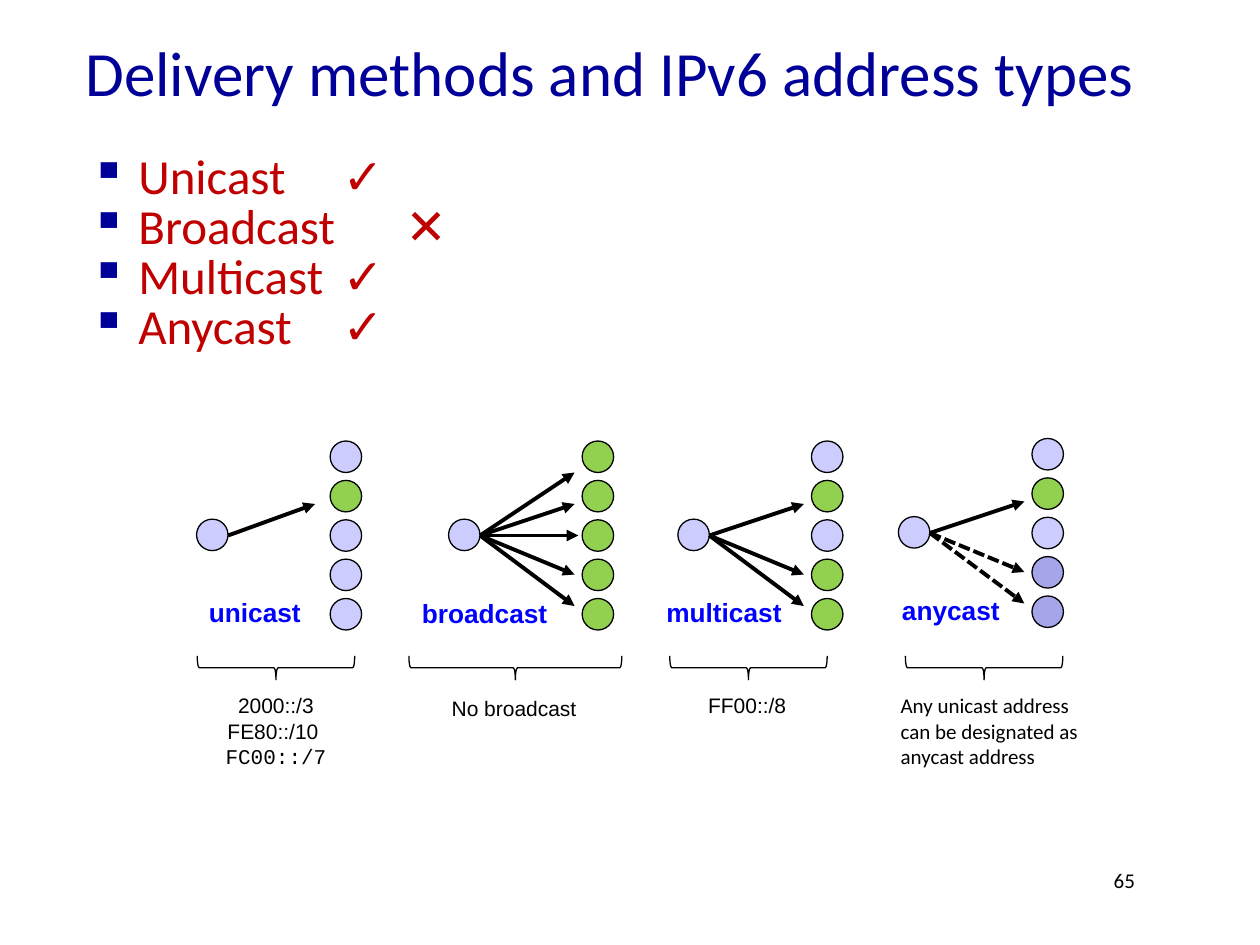
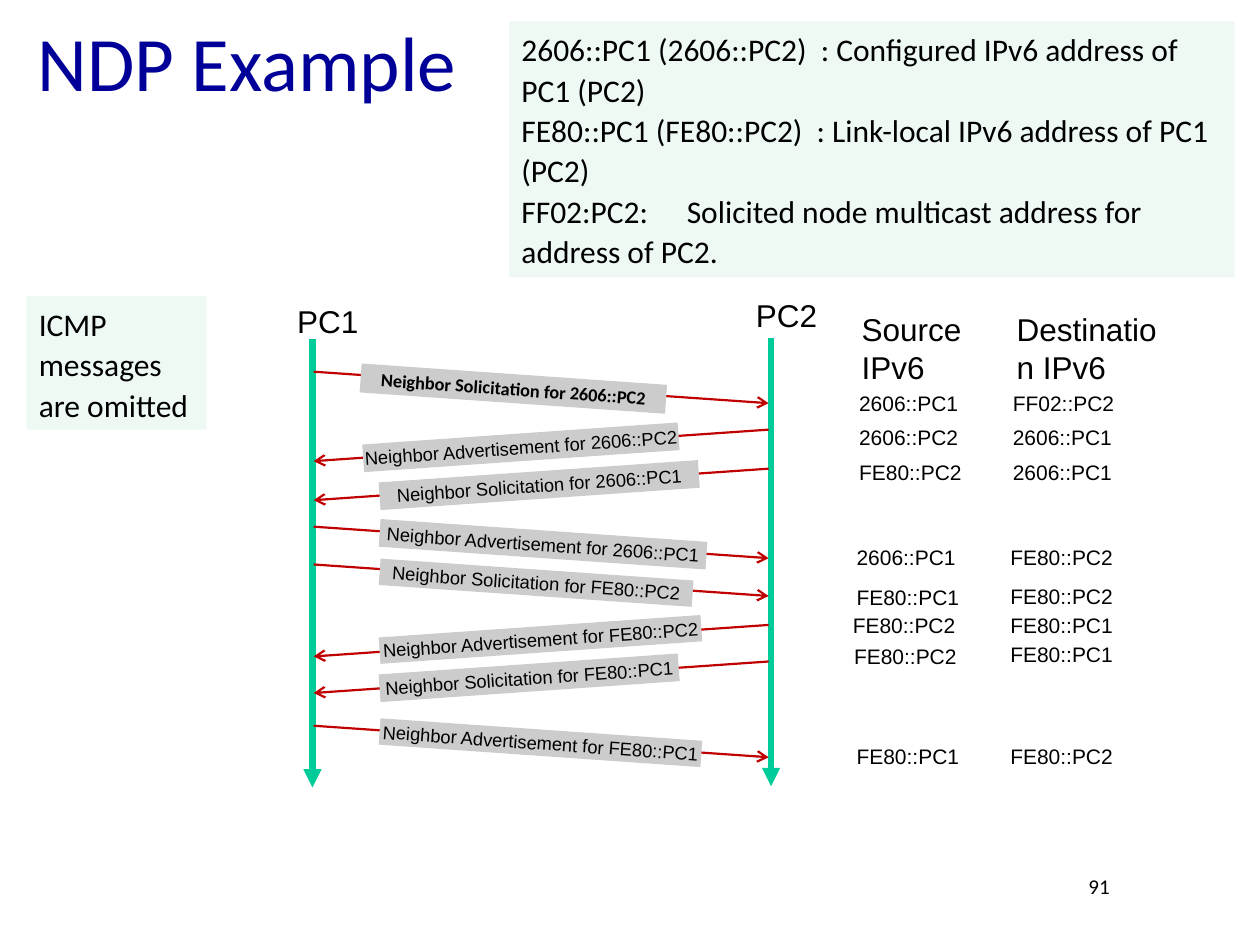
import pptx
import pptx.dml.color
import pptx.enum.dml
import pptx.enum.shapes
import pptx.enum.text
import pptx.oxml
import pptx.oxml.ns
import pptx.util

Inches = pptx.util.Inches
Pt = pptx.util.Pt
RGBColor = pptx.dml.color.RGBColor
SHAPE = pptx.enum.shapes.MSO_SHAPE
ANCHOR = pptx.enum.text.MSO_ANCHOR
ALIGN = pptx.enum.text.PP_ALIGN

# Colours
NAVY = RGBColor(0x00, 0x00, 0x99)
BLACK = RGBColor(0x00, 0x00, 0x00)
RED = RGBColor(0xC0, 0x00, 0x00)
BLUE = RGBColor(0x00, 0x00, 0xFF)
LAVENDER = RGBColor(0xCC, 0xCC, 0xFF)
VIOLET = RGBColor(0xA5, 0xA5, 0xE9)
GREEN = RGBColor(0x92, 0xD0, 0x50)
TEAL = RGBColor(0x00, 0xCC, 0x99)
MINT = RGBColor(0xEE, 0xF9, 0xF4)
GREY = RGBColor(0xCC, 0xCC, 0xCC)

# Text formats
BODY = {"name": "Calibri", "size": Pt(28), "color": RED}
NOTE = {"name": "Calibri", "size": Pt(18), "color": BLACK}
SMALL = {"name": "Calibri", "size": Pt(12), "color": BLACK}
HEADING = {"name": "Arial", "size": Pt(18), "color": BLACK}
ADDRESS = {"name": "Arial", "size": Pt(12), "color": BLACK}
MONO = {**ADDRESS, "name": "Courier New"}
METHOD = {"name": "Arial", "size": Pt(15), "color": BLUE, "bold": True}
MESSAGE = {"name": "Arial", "size": Pt(10.5), "color": BLACK}
FIRST_MESSAGE = {**MESSAGE, "name": "Calibri", "bold": True}

# Delivery diagram: circles, and the arrow tip height for each receiver row
DOT = 0.25
ROW_PITCH = 1.25 / 4
TIP_HEIGHTS = [3.75, 4, 4.25, 4.56, 4.81]

# Message sequence
LIFELINE_1, LIFELINE_2 = 2.48, 6.12
MESSAGE_DROP = 0.25
TILT = 4


def format_font(font, style):
    for name, value in style.items():
        if name == "color":
            font.color.rgb = value
        else:
            setattr(font, name, value)


def write(para, text, style):
    """Add text to a paragraph, with a line break at each newline."""
    for index, line in enumerate(text.split("\n")):
        if index:
            para.add_line_break()
        if line:
            span = para.add_run()
            span.text = line
            format_font(span.font, style)


def add_text(page, place, text, style, align=ALIGN.LEFT, anchor=ANCHOR.TOP, wrap=True):
    box = page.shapes.add_textbox(*map(Inches, place))
    frame = box.text_frame
    frame.word_wrap = wrap
    frame.vertical_anchor = anchor
    para = frame.paragraphs[0]
    para.alignment = align
    write(para, text, style)
    return para


def add_title(page, place, text, size):
    style = {"name": "Calibri", "size": Pt(size), "color": NAVY}
    add_text(page, place, text, style, anchor=ANCHOR.MIDDLE)


def add_shape(page, kind, place, fill=None, line=None):
    shape = page.shapes.add_shape(kind, *map(Inches, place))
    shape.shadow.inherit = False
    if fill is None:
        shape.fill.background()
    else:
        shape.fill.solid()
        shape.fill.fore_color.rgb = fill
    if line is None:
        shape.line.fill.background()
    else:
        shape.line.color.rgb = line
        shape.line.width = Pt(0.75)
    return shape


def add_element(parent, tag, **values):
    element = pptx.oxml.parse_xml(f"<a:{tag} {pptx.oxml.ns.nsdecls('a')}/>")
    for name, value in values.items():
        element.set(name, str(value))
    parent.append(element)
    return element


def add_tabs(para, stops):
    tabs = add_element(para._p.get_or_add_pPr(), "tabLst")
    for stop in stops:
        add_element(tabs, "tab", pos=Inches(stop), algn="l")


def add_bullet(para):
    properties = para._p.get_or_add_pPr()
    properties.set("marL", str(Inches(0.38)))
    properties.set("indent", str(-Inches(0.38)))
    add_element(add_element(properties, "buClr"), "srgbClr", val=NAVY)
    add_element(properties, "buChar", char="▪")


def add_arrow(page, start, end, color, width, head="triangle", dashed=False):
    arrow = page.shapes.add_connector(
        pptx.enum.shapes.MSO_CONNECTOR.STRAIGHT, *map(Inches, (*start, *end)))
    arrow.line.color.rgb = color
    arrow.line.width = Pt(width)
    if dashed:
        arrow.line.dash_style = pptx.enum.dml.MSO_LINE.SQUARE_DOT
    add_element(arrow.line._get_or_add_ln(), "tailEnd", type=head)
    add_element(arrow._element.spPr, "effectLst")


def add_brace(page, center, width):
    """Draw a downward brace by turning a right brace."""
    depth = 0.19
    place = (center - depth / 2, 5.3 - width / 2, depth, width)
    add_shape(page, SHAPE.RIGHT_BRACE, place, line=BLACK).rotation = 90


def add_delivery(page, left, colors, tips, label, label_place, lift=0, dashed=()):
    """Draw a sender, its five receivers and the arrows to the chosen rows."""
    receiver_left = left + 1.06
    add_shape(page, SHAPE.OVAL, (left, 4.12 - lift, DOT, DOT), LAVENDER, BLACK)
    for row, color in enumerate(colors):
        top = 3.5 + row * ROW_PITCH - lift
        add_shape(page, SHAPE.OVAL, (receiver_left, top, DOT, DOT), color, BLACK)
    for row, gap in tips.items():
        start = (left + DOT, 4.25 - lift)
        end = (receiver_left - gap, TIP_HEIGHTS[row] - lift)
        add_arrow(page, start, end, BLACK, 2.25, dashed=row in dashed)
    add_text(page, (*label_place, 1.25, 0.35), label, METHOD)


def add_message(page, from_pc1, top, label, place, style=MESSAGE):
    """Draw a sloping message arrow with its tilted label."""
    ends = [LIFELINE_1 + 0.01, LIFELINE_2 - 0.02]
    if not from_pc1:
        ends.reverse()
    add_arrow(page, (ends[0], top), (ends[1], top + MESSAGE_DROP), RED, 1.25, "arrow")
    band = add_shape(page, SHAPE.RECTANGLE, place, GREY)
    band.rotation = TILT if from_pc1 else 360 - TILT
    frame = band.text_frame
    frame.word_wrap = False
    frame.vertical_anchor = ANCHOR.MIDDLE
    frame.paragraphs[0].alignment = ALIGN.CENTER
    write(frame.paragraphs[0], label, style)


def add_note(page, place, text):
    panel = add_shape(page, SHAPE.RECTANGLE, place, MINT)
    panel.text_frame.word_wrap = True
    panel.text_frame.vertical_anchor = ANCHOR.TOP
    para = panel.text_frame.paragraphs[0]
    add_tabs(para, [step * 1.5 / 8 for step in range(1, 9)])
    para.alignment = ALIGN.LEFT
    para.line_spacing = 1.07
    write(para, text, NOTE)


def build_delivery_page(page):
    # Title and bullets
    add_title(page, (0.58, 0.25, 9.17, 0.64), "Delivery methods and IPv6 address types", 36)
    box = page.shapes.add_textbox(*map(Inches, (0.62, 1.18, 8.62, 1.8)))
    frame = box.text_frame
    frame.word_wrap = True
    lines = ["Unicast\t✓", "Broadcast \t✕", "Multicast \t✓", "Anycast \t✓"]
    for index, line in enumerate(lines):
        para = frame.add_paragraph() if index else frame.paragraphs[0]
        add_bullet(para)
        add_tabs(para, [2])
        para.line_spacing = 0.85
        write(para, line, BODY)

    # Four delivery methods
    near, middle = 0.06, 0.03
    add_delivery(page, 1.56, [LAVENDER, GREEN] + [LAVENDER] * 3, {1: 0.12},
                 "unicast", (1.56, 4.68))
    add_delivery(page, 3.56, [GREEN] * 5, {0: near, 1: near, 2: middle, 3: near, 4: near},
                 "broadcast", (3.25, 4.69))
    add_delivery(page, 5.38, [LAVENDER, GREEN, LAVENDER, GREEN, GREEN],
                 {1: near, 3: near, 4: near}, "multicast", (5.19, 4.68))
    add_delivery(page, 7.13, [LAVENDER, GREEN, LAVENDER, VIOLET, VIOLET],
                 {1: near, 3: near, 4: near}, "anycast", (7.06, 4.67),
                 lift=0.02, dashed=(3, 4))

    # Braces and address ranges
    for center, width in [(2.19, 1.25), (4.09, 1.69), (5.94, 1.25), (7.81, 1.25)]:
        add_brace(page, center, width)
    ranges = add_text(page, (1.38, 5.45, 1.62, 0.71), "2000::/3\nFE80::/10 \n",
                      ADDRESS, ALIGN.CENTER)
    write(ranges, "FC00::/7", MONO)
    add_text(page, (3.27, 5.47, 1.62, 0.3), "No broadcast", ADDRESS, ALIGN.CENTER)
    add_text(page, (5.12, 5.45, 1.62, 0.3), "FF00::/8", ADDRESS, ALIGN.CENTER)
    add_text(page, (7.05, 5.45, 1.66, 0.71),
             "Any unicast address can be designated as anycast address", SMALL)
    add_text(page, (8.74, 6.84, 1.02, 0.3), "65", SMALL)


def build_ndp_page(page):
    # Title and notes
    add_title(page, (0.2, 0.14, 3.8, 0.68), "NDP Example", 44)
    add_note(page, (4.04, 0.17, 5.76, 2.03),
             "2606::PC1 (2606::PC2)  : Configured IPv6 address of PC1 (PC2)\n"
             "FE80::PC1 (FE80::PC2)  : Link-local IPv6 address of PC1 (PC2)\n"
             "FF02:PC2:\t\tSolicited node multicast address for address of PC2.")
    add_note(page, (0.21, 2.35, 1.43, 1.06), "ICMP messages are omitted")

    # Lifelines
    for name, x, top, name_top in [("PC1", LIFELINE_1, 2.69, 2.35),
                                   ("PC2", LIFELINE_2, 2.68, 2.3)]:
        add_arrow(page, (x, top), (x, top + 3.56), TEAL, 3.5)
        add_text(page, (x - 0.22, name_top, 0.69, 0.4), name, HEADING, wrap=False)

    # Messages: sender is PC1, arrow top, kind, target, label place
    messages = [
        (True, 2.95, "Solicitation", "2606::PC2", (2.86, 2.97, 2.43, 0.23)),
        (False, 3.41, "Advertisement", "2606::PC2", (2.88, 3.44, 2.51, 0.22)),
        (False, 3.72, "Solicitation", "2606::PC1", (3.01, 3.74, 2.54, 0.22)),
        (True, 4.18, "Advertisement", "2606::PC1", (3.01, 4.21, 2.6, 0.22)),
        (True, 4.48, "Solicitation", "FE80::PC2", (3.01, 4.52, 2.49, 0.21)),
        (False, 4.96, "Advertisement", "FE80::PC2", (3.01, 4.97, 2.56, 0.21)),
        (False, 5.25, "Solicitation", "FE80::PC1", (3.01, 5.27, 2.38, 0.22)),
        (True, 5.76, "Advertisement", "FE80::PC1", (3.01, 5.79, 2.56, 0.21)),
    ]
    for index, (from_pc1, top, kind, target, place) in enumerate(messages):
        add_message(page, from_pc1, top, f"Neighbor {kind} for {target}", place,
                    MESSAGE if index else FIRST_MESSAGE)

    # Source and destination addresses: left, top, text
    add_text(page, (6.74, 2.41, 1.23, 0.71), "Source IPv6", HEADING)
    add_text(page, (7.97, 2.41, 1.4, 0.71), "Destination IPv6", HEADING)
    addresses = [
        (6.72, 3.05, "2606::PC1"), (7.94, 3.05, "FF02::PC2"),
        (6.72, 3.32, "2606::PC2"), (7.94, 3.32, "2606::PC1"),
        (6.72, 3.6, "FE80::PC2"), (7.94, 3.6, "2606::PC1"),
        (6.7, 4.27, "2606::PC1"), (7.92, 4.27, "FE80::PC2"),
        (6.7, 4.59, "FE80::PC1"), (7.92, 4.58, "FE80::PC2"),
        (6.67, 4.81, "FE80::PC2"), (7.92, 4.81, "FE80::PC1"),
        (6.68, 5.06, "FE80::PC2"), (7.92, 5.04, "FE80::PC1"),
        (6.7, 5.85, "FE80::PC1"), (7.92, 5.85, "FE80::PC2"),
    ]
    for left, top, text in addresses:
        add_text(page, (left, top, 1.23, 0.3), text, ADDRESS)
    add_text(page, (8.54, 6.88, 1.02, 0.3), "91", SMALL)


def main():
    deck = pptx.Presentation()
    deck.slide_width, deck.slide_height = Inches(10), Inches(7.5)
    for build in (build_delivery_page, build_ndp_page):
        build(deck.slides.add_slide(deck.slide_layouts[6]))
    deck.save("out.pptx")


if __name__ == "__main__":
    main()
